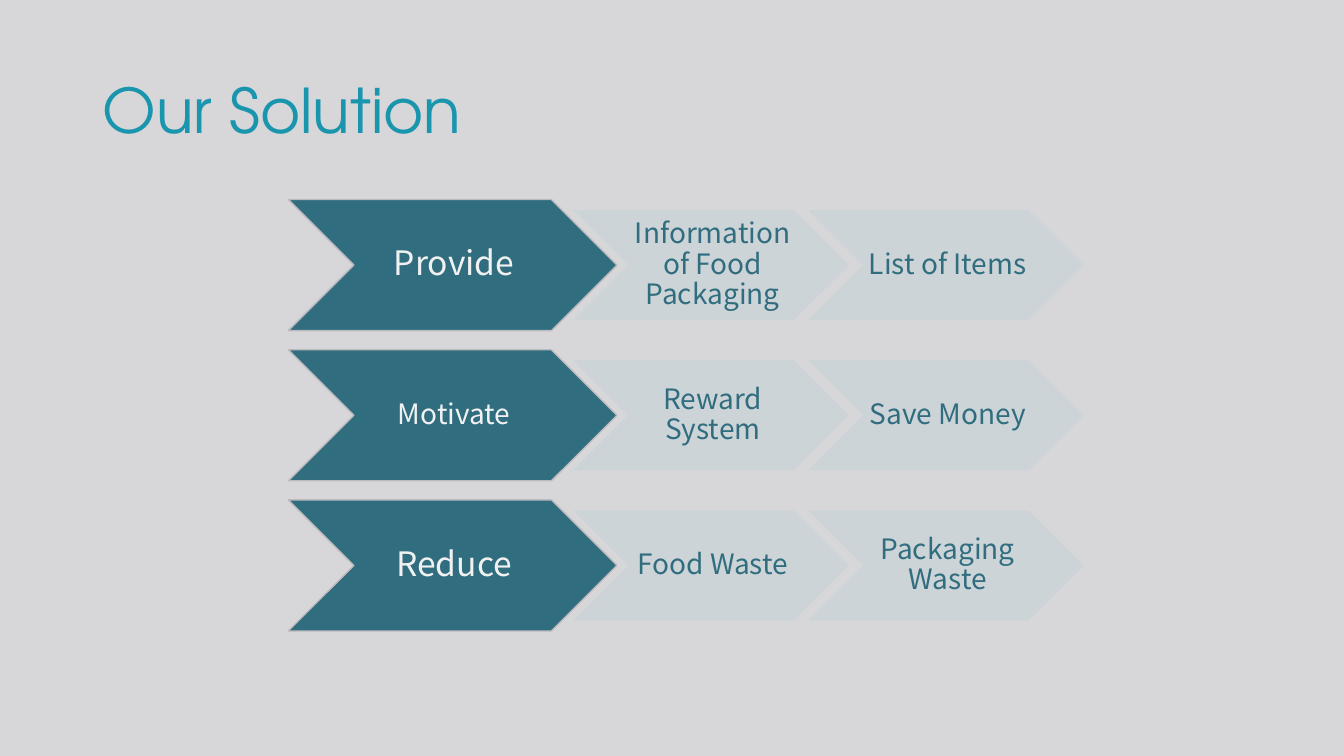
import pptx
import pptx.util
import pptx.dml.color
import pptx.enum.shapes
import pptx.enum.text
import pptx.oxml.ns
import lxml.etree

Inches, Pt = pptx.util.Inches, pptx.util.Pt

# Content: lead word, its size, and the two steps that follow
TITLE = "Our Solution"
ROWS = [
    ("Provide", 24, ["Information of Food Packaging", "List of Items"]),
    ("Motivate", 20, ["Reward System", "Save Money"]),
    ("Reduce", 24, ["Food Waste", "Packaging Waste"]),
]
COLORS = {"back": "D7D6D8", "title": "1995AD", "lead": "306D7E",
          "edge": "BCBABE", "light": "F1F1F2", "step": "CDD4D8"}
HEAD_FONT, BODY_FONT = "TeX Gyre Adventor", "Noto Sans CJK SC"

# Layout in inches
LEFT, TOP, PITCH = 2.86, 1.98, 1.49
LEAD_W, LEAD_H = 3.26, 1.3
STEP_LEFT, STEP_PITCH, STEP_W, STEP_H = 5.7, 2.33, 2.71, 1.08


def color(name):
    return pptx.dml.color.RGBColor.from_string(COLORS[name])


def write(frame, text, font, size, tint):
    frame.word_wrap = True
    frame.vertical_anchor = pptx.enum.text.MSO_ANCHOR.MIDDLE
    para = frame.paragraphs[0]
    para.line_spacing = 0.9
    run = para.add_run()
    run.text = text
    run.font.name = font
    run.font.size = Pt(size)
    run.font.color.rgb = color(tint)
    return para


def fade(fill, percent):
    tag = pptx.oxml.ns.qn("a:srgbClr")
    for node in fill.iter(tag):
        alpha = lxml.etree.SubElement(node, pptx.oxml.ns.qn("a:alpha"))
        alpha.set("val", str(percent * 1000))


def arrow(slide, box, text, size, fill, edge, tint):
    shape = slide.shapes.add_shape(
        pptx.enum.shapes.MSO_SHAPE.CHEVRON, *[Inches(n) for n in box])
    shape.shadow.inherit = False
    shape.fill.solid()
    shape.fill.fore_color.rgb = color(fill)
    shape.line.color.rgb = color(edge)
    shape.line.width = Pt(1)
    frame = shape.text_frame
    frame.margin_left, frame.margin_right = Inches(0.03), 0
    frame.margin_top = frame.margin_bottom = Inches(0.01)
    para = write(frame, text, BODY_FONT, size, tint)
    para.alignment = pptx.enum.text.PP_ALIGN.CENTER
    return shape


deck = pptx.Presentation()
deck.slide_width, deck.slide_height = Inches(13.33), Inches(7.5)
slide = deck.slides.add_slide(deck.slide_layouts[5])
slide.background.fill.solid()
slide.background.fill.fore_color.rgb = color("back")

# Title
title = slide.shapes.title
title.left, title.top = Inches(0.92), Inches(0.4)
title.width, title.height = Inches(11.5), Inches(1.45)
para = write(title.text_frame, TITLE, HEAD_FONT, 44, "title")
para.alignment = pptx.enum.text.PP_ALIGN.LEFT

# Chevron rows, steps centred on their lead
for row, (lead, size, steps) in enumerate(ROWS):
    top = TOP + row * PITCH
    arrow(slide, (LEFT, top, LEAD_W, LEAD_H), lead, size,
          "lead", "edge", "light")
    for col, step in enumerate(steps):
        box = (STEP_LEFT + col * STEP_PITCH, top + (LEAD_H - STEP_H) / 2,
               STEP_W, STEP_H)
        shape = arrow(slide, box, step, 20, "step", "step", "lead")
        fade(shape.element.spPr, 90)

deck.save("out.pptx")
